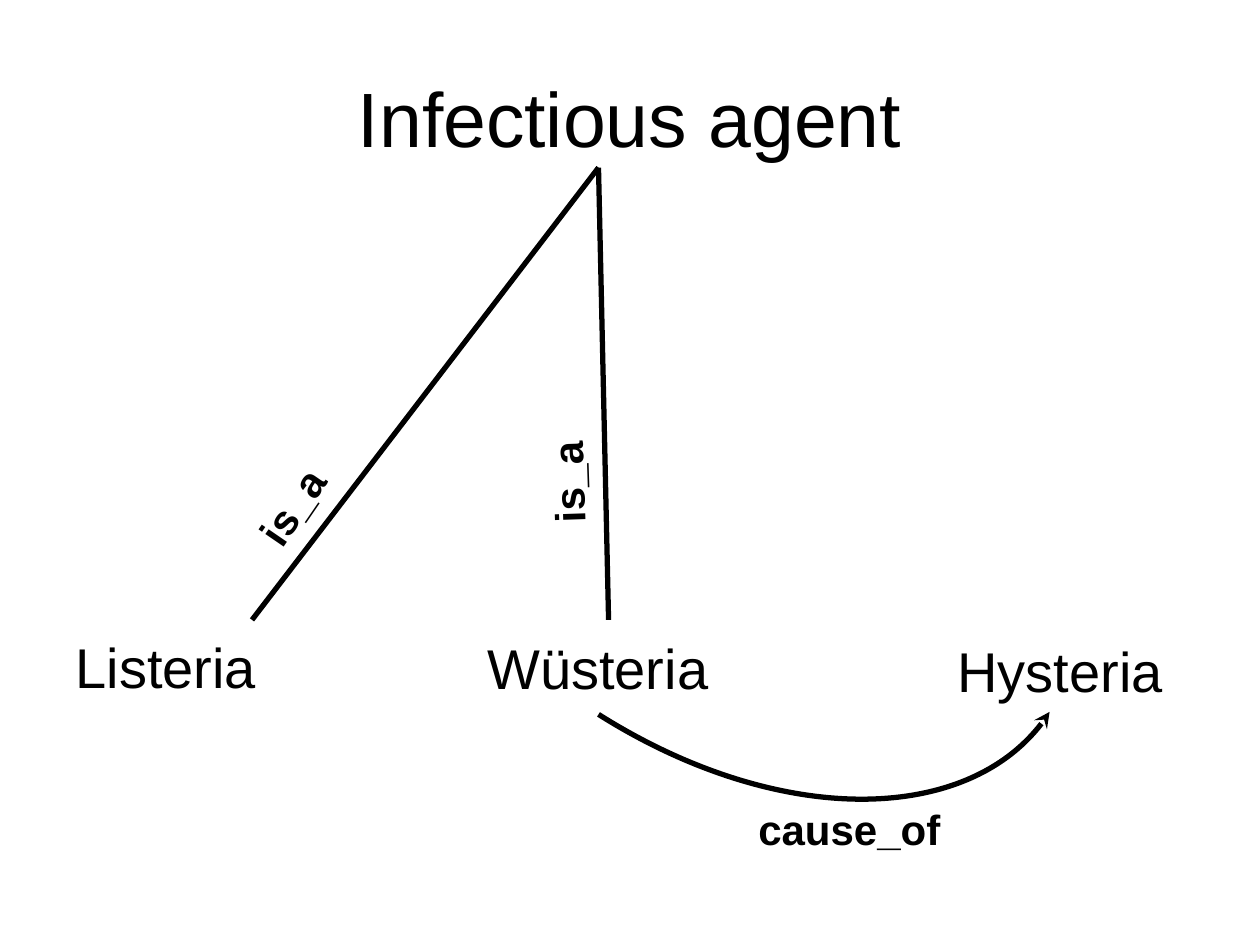
from dataclasses import dataclass

from lxml import etree
from pptx import Presentation
from pptx.dml.color import RGBColor
from pptx.enum import shapes, text
from pptx.oxml import ns
from pptx.util import Inches, Pt


@dataclass(frozen=True)
class Theme:
    ink: RGBColor = RGBColor(0, 0, 0)
    font: str = "Arial"
    title: int = 44
    term: int = 32
    label: int = 24
    line: int = 3


THEME = Theme()


def place(shape, left, top, width, height):
    shape.left, shape.top = Inches(left), Inches(top)
    shape.width, shape.height = Inches(width), Inches(height)


def write(shape, words, size, bold=False, align=text.PP_ALIGN.LEFT):
    frame = shape.text_frame
    frame.word_wrap = True
    frame.auto_size = text.MSO_AUTO_SIZE.NONE
    para = frame.paragraphs[0]
    para.alignment = align
    para.space_before = Pt(0)
    run = para.add_run()
    run.text = words
    font = run.font
    font.name, font.size, font.bold = THEME.font, Pt(size), bold
    font.color.rgb = THEME.ink
    return para


def add_title(slide, words):
    title = slide.shapes.title
    place(title, 0.5, 0.3, 9, 1.25)
    title.text_frame.vertical_anchor = text.MSO_ANCHOR.MIDDLE
    write(title, words, THEME.title, align=text.PP_ALIGN.CENTER)


def add_body(slide, words, *box):
    body = slide.placeholders[1]
    place(body, *box)
    body.text_frame.vertical_anchor = text.MSO_ANCHOR.TOP
    props = write(body, words, THEME.term)._p.get_or_add_pPr()
    props.set("marL", "0")
    props.set("indent", "0")
    etree.SubElement(props, ns.qn("a:buNone"))


def add_text(slide, words, box, size, bold=False, turn=0):
    shape = slide.shapes.add_textbox(*map(Inches, box))
    shape.rotation = turn
    write(shape, words, size, bold)


def style(line):
    line.color.rgb = THEME.ink
    line.width = Pt(THEME.line)


def add_line(slide, start, end):
    link = slide.shapes.add_connector(
        shapes.MSO_CONNECTOR.STRAIGHT, *map(Inches, start + end))
    style(link.line)
    etree.SubElement(link._element.spPr, ns.qn("a:effectLst"))


def add_curve(slide, start, *points):
    """Draw one cubic curve with an arrowhead; points are two controls and the end."""
    pen = slide.shapes.build_freeform(*map(Inches, start))
    pen.add_line_segments([tuple(map(Inches, p)) for p in points], close=False)
    curve = pen.convert_to_shape()
    curve.shadow.inherit = False
    curve.fill.background()
    style(curve.line)
    track = curve._element.spPr.find(".//" + ns.qn("a:path"))
    cubic = etree.SubElement(track, ns.qn("a:cubicBezTo"))
    for step in track.findall(ns.qn("a:lnTo")):
        cubic.append(step[0])
        track.remove(step)
    etree.SubElement(curve.line._get_or_add_ln(), ns.qn("a:tailEnd"), type="stealth")


def main():
    deck = Presentation()
    deck.slide_width, deck.slide_height = Inches(10), Inches(7.5)
    slide = deck.slides.add_slide(deck.slide_layouts[1])

    add_title(slide, "Infectious agent")
    add_body(slide, "Listeria", 0.5, 4.97, 1.83, 0.64)

    root = (4.75, 1.33)
    for end in ((2, 4.92), (4.83, 4.92)):
        add_line(slide, root, end)
    add_curve(slide, (4.75, 5.67), (6.16, 6.56), (7.76, 6.55), (8.33, 5.65))

    add_text(slide, "cause_of", (5.92, 6.33, 3.17, 0.5), THEME.label, True)
    add_text(slide, "Wüsteria", (3.77, 4.98, 2.33, 0.64), THEME.term)
    add_text(slide, "Hysteria", (7.5, 5, 1.92, 0.64), THEME.term)
    for left, top, turn in ((1.84, 3.67, 304.4), (3.96, 3.46, 268)):
        add_text(slide, "is_a", (left, top, 1.08, 0.5), THEME.label, True, turn)

    deck.save("out.pptx")


if __name__ == "__main__":
    main()
